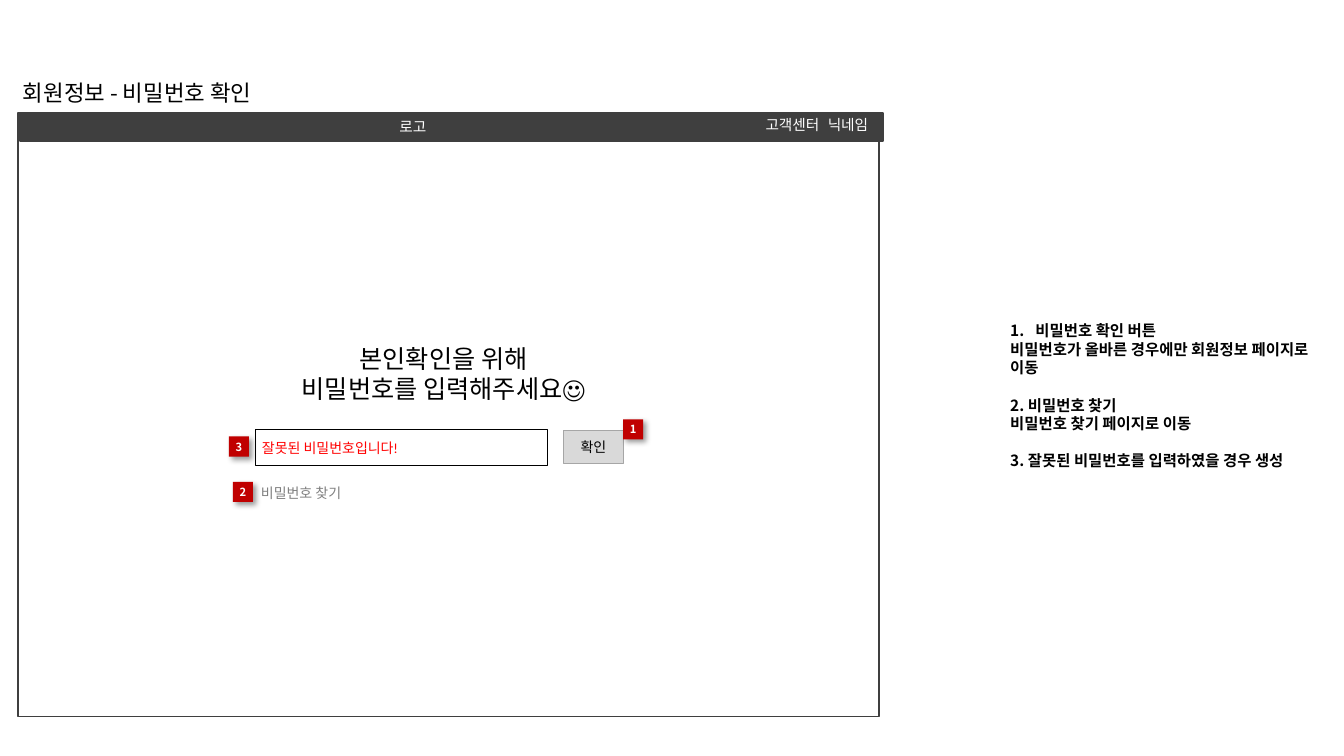
import pptx
import pptx.util
import pptx.dml.color
import pptx.enum.shapes
import pptx.enum.text
import pptx.oxml
import pptx.oxml.ns

PX = 9144
FONT = "Noto Sans CJK KR"
LINE_PITCH = 1.21
LEFT = pptx.enum.text.PP_ALIGN.LEFT
CENTER = pptx.enum.text.PP_ALIGN.CENTER
TOP = pptx.enum.text.MSO_ANCHOR.TOP
MIDDLE = pptx.enum.text.MSO_ANCHOR.MIDDLE
NAMESPACE = pptx.oxml.ns.nsdecls("a")


def color(value):
    return pptx.dml.color.RGBColor.from_string(value)


def place(box):
    return [length * PX for length in box]


def write(shape, lines, size, ink, align=LEFT, anchor=TOP, inset=True,
          wrap=True, bold=False, font=FONT):
    frame = shape.text_frame
    frame.text = "\n".join(lines)
    frame.word_wrap = wrap
    frame.vertical_anchor = anchor
    if not inset:
        frame.margin_left = frame.margin_right = 0
        frame.margin_top = frame.margin_bottom = 0
    for para in frame.paragraphs:
        para.alignment = align
        para.line_spacing = pptx.util.Pt(size * LINE_PITCH)
        for span in para.runs:
            span.font.size = pptx.util.Pt(size)
            span.font.bold = bold
            span.font.color.rgb = color(ink)
            span.font.name = font
            span.font._element.append(
                pptx.oxml.parse_xml(f'<a:ea {NAMESPACE} typeface="{FONT}"/>'))
    return frame


def add_text(page, box, lines, size, ink, **style):
    return write(page.shapes.add_textbox(*place(box)), lines, size, ink, **style)


def add_rect(page, box, fill=None, line=None, weight=0.75):
    shape = page.shapes.add_shape(
        pptx.enum.shapes.MSO_SHAPE.RECTANGLE, *place(box))
    shape.shadow.inherit = False
    if fill:
        shape.fill.solid()
        shape.fill.fore_color.rgb = color(fill)
    else:
        shape.fill.background()
    if line:
        shape.line.color.rgb = color(line)
        shape.line.width = pptx.util.Pt(weight)
    else:
        shape.line.fill.background()
    return shape


def add_badge(page, left, top, number):
    badge = add_rect(page, (left, top, 20, 20), "C00000")
    effects = badge._element.spPr.find(pptx.oxml.ns.qn("a:effectLst"))
    effects.append(pptx.oxml.parse_xml(
        f'<a:outerShdw {NAMESPACE} blurRad="50800" dist="38100" dir="2700000" '
        'algn="tl" rotWithShape="0"><a:srgbClr val="000000">'
        '<a:alpha val="40000"/></a:srgbClr></a:outerShdw>'))
    write(badge, [str(number)], 8, "FFFFFF", align=CENTER, anchor=MIDDLE,
          inset=False, wrap=False, bold=True)


def add_screen(page, box):
    left, top, width, height = box
    add_rect(page, box, "FFFFFF", "3F3F3F", 1)
    add_rect(page, (left + 2, top, width + 2, 28), "3F3F3F", "3F3F3F", 1)
    menu = [("로고", 356, 0, 71), ("고객센터", 737, -2, 62), ("닉네임", 799, -2, 48)]
    for label, offset, rise, span_width in menu:
        add_text(page, (left + offset, top + rise, span_width, 28), [label],
                 10.5, "FFFFFF", align=CENTER, anchor=MIDDLE, inset=False)
    add_text(page, (left - 5, top - 39, 270, 37), ["회원정보 - 비밀번호 확인"],
             16, "000000", wrap=False)


def add_password_form(page, box):
    left, top, width, height = box
    add_text(page, (left + 40, top, 346, 71),
             ["본인확인을 위해", "비밀번호를 입력해주세요☺"], 18, "000000", align=CENTER)
    add_rect(page, (left + 26, top + 91, 290, 36), line="000000")
    button = add_rect(page, (left + 332, top + 92, 59, 33), "D9D9D9", "A6A6A6")
    write(button, ["확인"], 10, "000000", align=CENTER, anchor=MIDDLE, inset=False)
    add_text(page, (left + 23, top + 96, 292, 44), ["잘못된 비밀번호입니다!"],
             10, "FF0000", font="Calibri")
    add_text(page, (left + 22, top + 141, 203, 27), ["비밀번호 찾기"], 10, "808080")
    for number, (x, y) in enumerate([(391, 81), (4, 143), (0, 98)], 1):
        add_badge(page, left + x, top + y, number)


def add_notes_panel(page, box):
    lines = ["비밀번호 확인 버튼",
             "비밀번호가 올바른 경우에만 회원정보 페이지로 이동",
             "2. 비밀번호 찾기",
             "비밀번호 찾기 페이지로 이동",
             "3. 잘못된 비밀번호를 입력하였을 경우 생성"]
    size = 11
    frame = add_text(page, box, lines, size, "000000", anchor=MIDDLE,
                     inset=False, bold=True)
    for index in (2, 4):
        frame.paragraphs[index].space_before = pptx.util.Pt(size * LINE_PITCH)
    properties = frame.paragraphs[0]._p.get_or_add_pPr()
    properties.set("marL", str(25 * PX))
    properties.set("indent", str(-25 * PX))
    properties.append(pptx.oxml.parse_xml(
        f'<a:buFont {NAMESPACE} typeface="{FONT}"/>'))
    properties.append(pptx.oxml.parse_xml(
        f'<a:buAutoNum {NAMESPACE} type="arabicPeriod"/>'))


def main():
    deck = pptx.Presentation()
    deck.slide_width, deck.slide_height = 1333 * PX, 750 * PX
    page = deck.slides.add_slide(deck.slide_layouts[6])
    add_screen(page, (18, 112, 854, 599))
    add_password_form(page, (227, 335, 411, 168))
    add_notes_panel(page, (1002, 104, 297, 577))
    deck.save("out.pptx")


if __name__ == "__main__":
    main()
